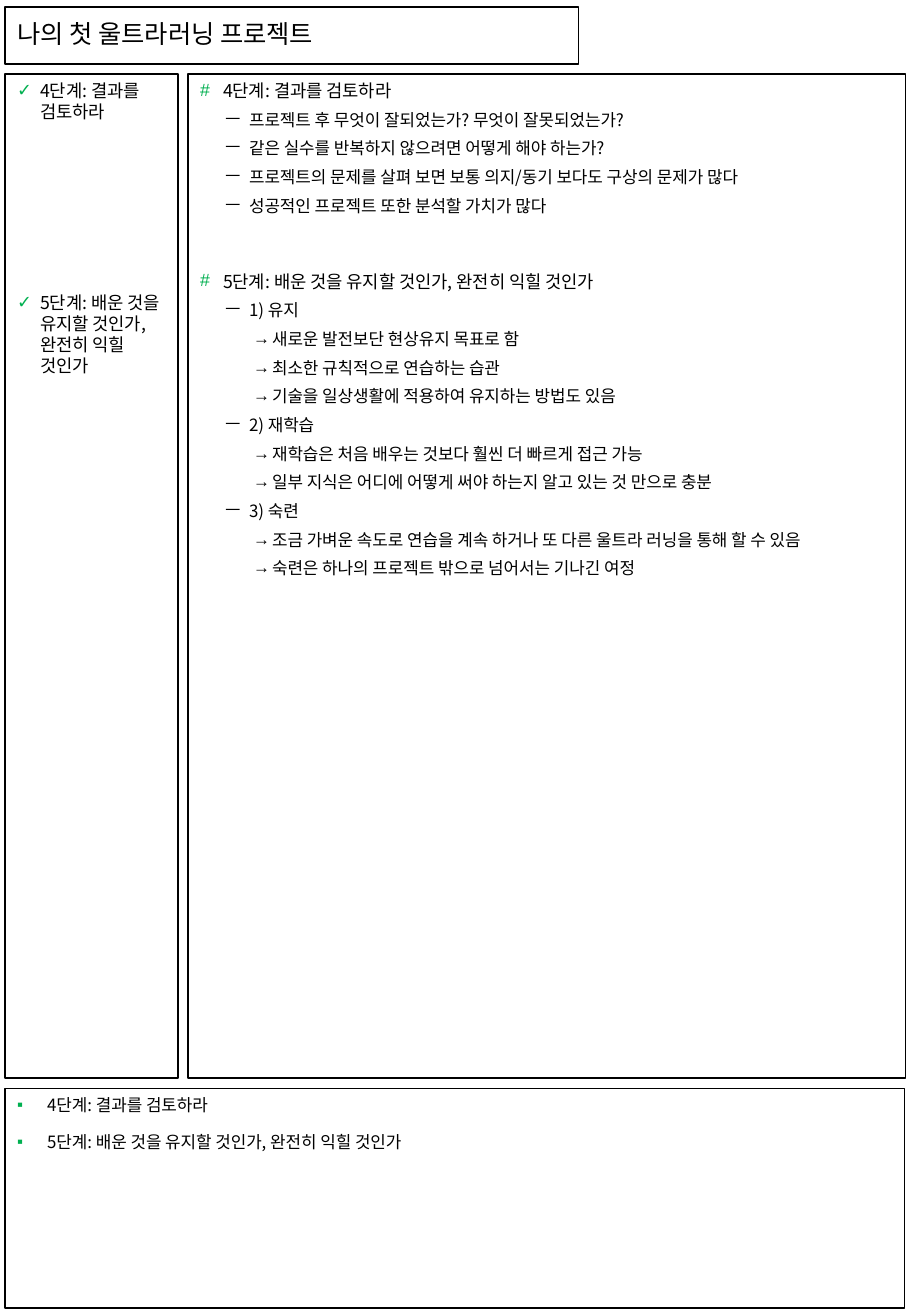
from lxml import etree
from pptx import Presentation
from pptx import util as u
from pptx.dml.color import RGBColor
from pptx.enum import text
from pptx.oxml.ns import qn

PX = 914400 / 121.5
FONT = "Noto Sans CJK KR"
COLORS = {"ink": "000000", "accent": "00B050"}

# Bullet styles: level, left margin px, hanging px, size, space before, colour
STYLES = {
    "✓": (0, 23, 23, 10.5, 10, "accent"),
    "#": (0, 23, 23, 10.5, 10, "accent"),
    "ￚ": (1, 49, 24, 10, 5, "ink"),
    "→": (2, 72, 19, 10, 5, "ink"),
    "▪": (0, 30, 30, 10, 10, "accent"),
}
STEP_REVIEW = "4단계: 결과를 검토하라"
STEP_KEEP = "5단계: 배운 것을 유지할 것인가, 완전히 익힐 것인가"


def px(length):
    return u.Emu(round(length * PX))


def add_text(paragraph, content, size, color="ink", bold=False):
    run = paragraph.add_run()
    run.text = content
    run.font.name = FONT
    run.font.size = u.Pt(size)
    run.font.bold = bold
    run.font.color.rgb = RGBColor.from_string(COLORS[color])
    east_asian = etree.SubElement(run.font._element, qn("a:ea"))
    east_asian.set("typeface", FONT)


class NotePage:
    def __init__(self, slide):
        self.slide = slide
        self.holders = {holder.placeholder_format.idx: holder
                        for holder in slide.placeholders}

    def frame(self, index, left, top, width, height, anchor):
        shape = self.holders.pop(index)
        shape.left, shape.top = px(left), px(top)
        shape.width, shape.height = px(width), px(height)
        shape.fill.background()
        shape.line.color.rgb = RGBColor.from_string(COLORS["ink"])
        shape.line.width = u.Pt(0.75)
        frame = shape.text_frame
        frame.word_wrap = True
        frame.auto_size = text.MSO_AUTO_SIZE.NONE
        frame.vertical_anchor = anchor
        return frame

    def title(self, content, *box):
        frame = self.frame(0, *box, text.MSO_ANCHOR.MIDDLE)
        paragraph = frame.paragraphs[0]
        paragraph.alignment = text.PP_ALIGN.LEFT
        paragraph.line_spacing = 0.9
        add_text(paragraph, content, 15)

    def bullet(self, paragraph, mark, margin, hanging, color):
        properties = paragraph._p.get_or_add_pPr()
        properties.set("marL", str(px(margin)))
        properties.set("indent", str(px(-hanging)))
        tint = etree.SubElement(properties, qn("a:buClr"))
        etree.SubElement(tint, qn("a:srgbClr")).set("val", COLORS[color])
        etree.SubElement(properties, qn("a:buFont")).set("typeface", "Arial")
        etree.SubElement(properties, qn("a:buChar")).set("char", mark)

    def outline(self, index, items, *box, section_gap=None):
        """Fill a panel; section_gap separates later top-level items."""
        frame = self.frame(index, *box, text.MSO_ANCHOR.TOP)
        for number, (mark, content) in enumerate(items):
            level, margin, hanging, size, space, color = STYLES[mark]
            paragraph = frame.add_paragraph() if number else frame.paragraphs[0]
            paragraph.level = level
            self.bullet(paragraph, mark, margin, hanging, color)
            if level == 0 and section_gap:
                space = section_gap
            paragraph.space_before = u.Pt(space if number else 0)
            paragraph.line_spacing = u.Pt(12.4 if size > 10 else 12)
            paragraph.alignment = text.PP_ALIGN.LEFT
            add_text(paragraph, content, size)

    def remove_unused(self):
        for shape in self.holders.values():
            shape._element.getparent().remove(shape._element)


def main():
    presentation = Presentation()
    presentation.slide_width = u.Inches(7.5)
    presentation.slide_height = u.Inches(10.83)
    page = NotePage(presentation.slides.add_slide(presentation.slide_layouts[4]))

    # Heading
    page.title("나의 첫 울트라러닝 프로젝트", 5, 7, 574, 57)

    # Cue column
    page.outline(1, [("✓", STEP_REVIEW), ("✓", STEP_KEEP)],
                 5, 74, 173, 1004, section_gap=100.8)

    # Notes
    notes = [
        ("#", STEP_REVIEW),
        ("ￚ", "프로젝트 후 무엇이 잘되었는가? 무엇이 잘못되었는가?"),
        ("ￚ", "같은 실수를 반복하지 않으려면 어떻게 해야 하는가?"),
        ("ￚ", "프로젝트의 문제를 살펴 보면 보통 의지/동기 보다도 구상의 문제가 많다"),
        ("ￚ", "성공적인 프로젝트 또한 분석할 가치가 많다"),
        ("#", STEP_KEEP),
        ("ￚ", "1) 유지"),
        ("→", "새로운 발전보단 현상유지 목표로 함"),
        ("→", "최소한 규칙적으로 연습하는 습관"),
        ("→", "기술을 일상생활에 적용하여 유지하는 방법도 있음"),
        ("ￚ", "2) 재학습"),
        ("→", "재학습은 처음 배우는 것보다 훨씬 더 빠르게 접근 가능"),
        ("→", "일부 지식은 어디에 어떻게 써야 하는지 알고 있는 것 만으로 충분"),
        ("ￚ", "3) 숙련"),
        ("→", "조금 가벼운 속도로 연습을 계속 하거나 또 다른 울트라 러닝을 통해 할 수 있음"),
        ("→", "숙련은 하나의 프로젝트 밖으로 넘어서는 기나긴 여정"),
    ]
    page.outline(3, notes, 188, 74, 718, 1004, section_gap=32.6)

    # Summary
    page.outline(2, [("▪", STEP_REVIEW), ("▪", STEP_KEEP)], 5, 1088, 900, 220)

    page.remove_unused()
    presentation.save("out.pptx")


if __name__ == "__main__":
    main()
